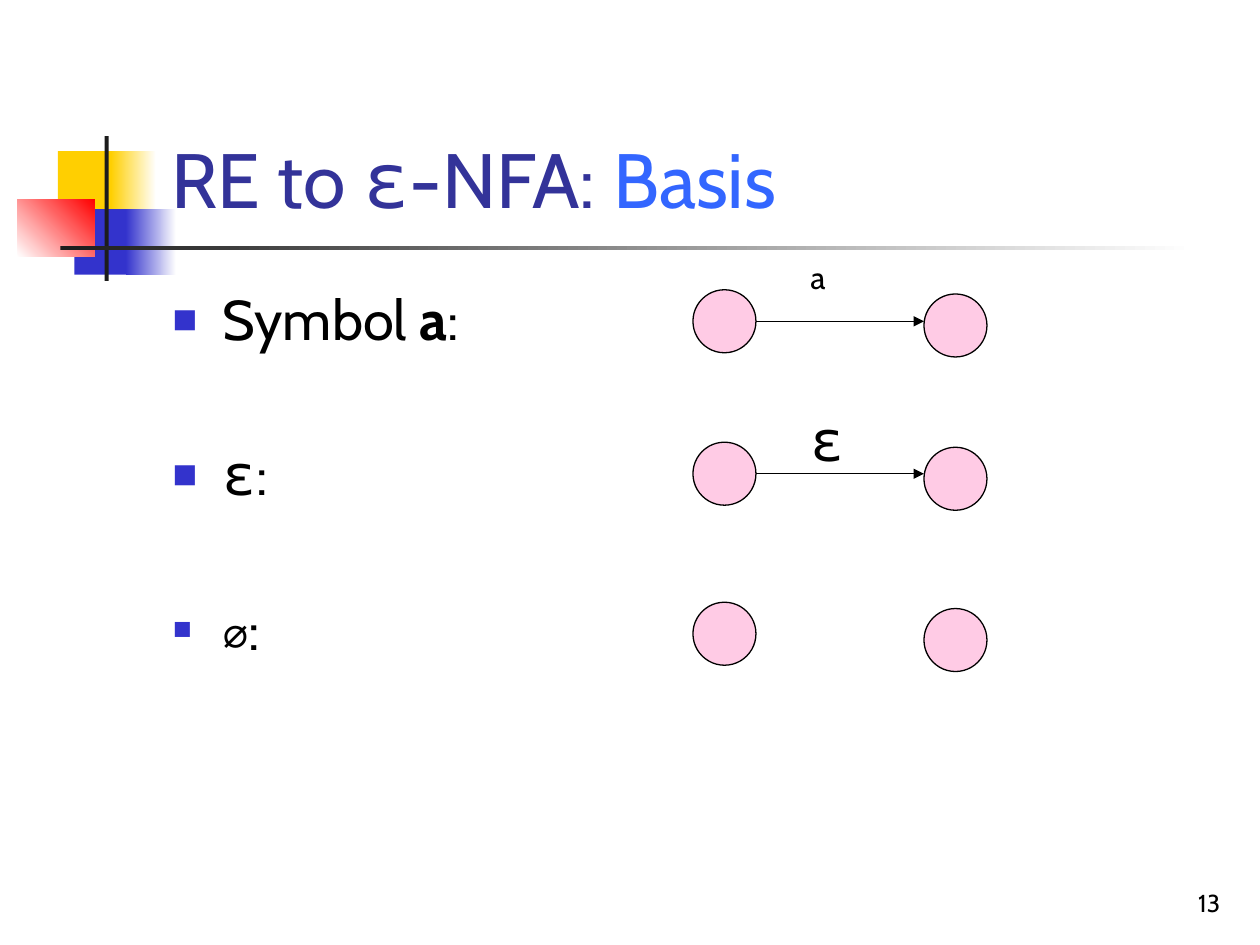
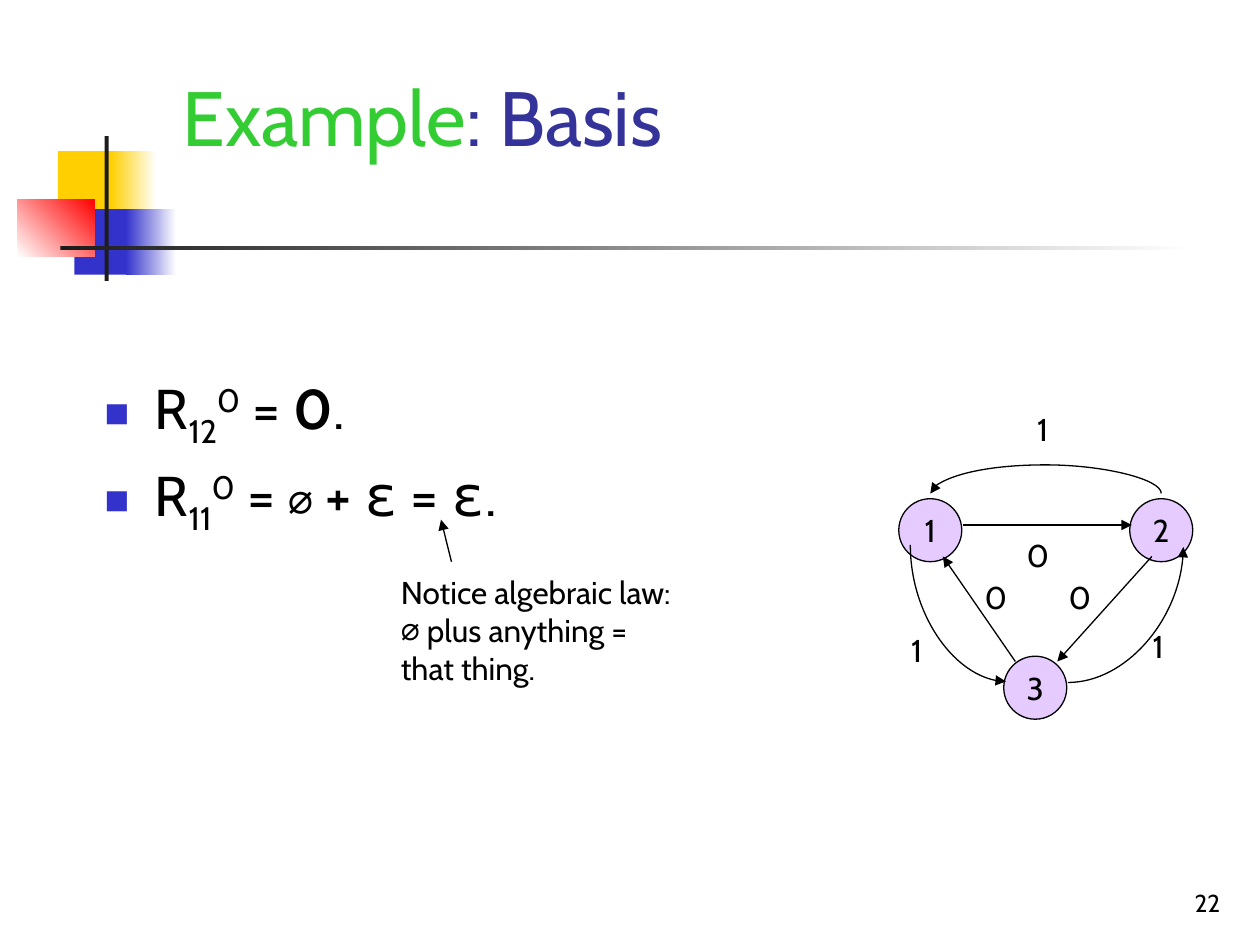
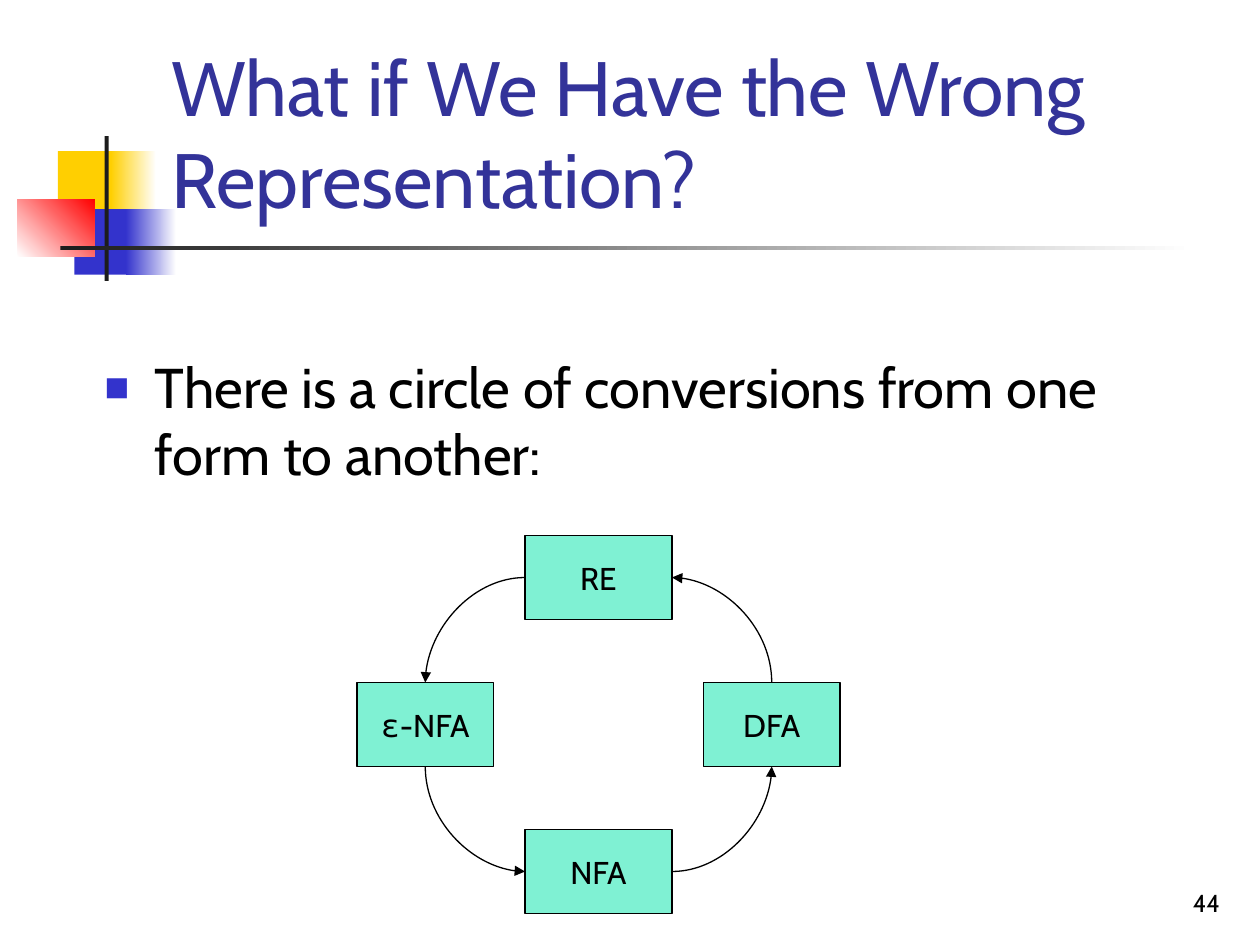
from collections import namedtuple
from itertools import groupby

from lxml import etree
from pptx import Presentation
from pptx.dml.color import RGBColor
from pptx.enum.shapes import MSO_CONNECTOR as Link, MSO_SHAPE as Preset
from pptx.enum.text import MSO_ANCHOR as Anchor, MSO_AUTO_SIZE as Fit, PP_ALIGN as Align
from pptx.oxml.ns import qn
from pptx.util import Emu, Inches, Pt

WIDTH, HEIGHT = Inches(10), Inches(7.5)
COLUMNS = 120
CELL = WIDTH // COLUMNS
COLORS = {
    "text": "000000", "title": "333399", "topic": "3366FF", "example": "33CC33",
    "yellow": "FFCF01", "blue": "3333CC", "red": "FF0000", "white": "FFFFFF",
    "rule": "1C1C1C", "pink": "FF99CC", "violet": "CC99FF", "mint": "00E4A8",
}
FONT, SYMBOL_FONT = "Cabin", "DejaVu Sans Mono"
SYMBOLS = "ε∅"
NODE = 6
LABEL = (4.5, 6)
SUB, SUP, BOLD = {"baseline": -25}, {"baseline": 30}, {"bold": True}
SMALL = {"size": Pt(24)}


class Box(namedtuple("Box", "x y w h")):
    def inner(self, x, y, w, h):
        return Box(self.x + x, self.y + y, w, h)

    def point(self, x, y):
        return self.x + x, self.y + y

    def side(self, name):
        across, down = {"top": (0.5, 0), "left": (0, 0.5),
                        "bottom": (0.5, 1), "right": (1, 0.5)}[name]
        return self.point(across * self.w, down * self.h)

    def emu(self):
        return [cells(value) for value in self]


DECOR = Box(1.68, 12.96, 110, 15)
TITLE = Box(15.12, 2.76, 102.24, 19.2)
NUMBER = Box(92.4, 82, 25, 6)


def cells(value):
    return Emu(round(value * CELL))


def rgb(name):
    return RGBColor.from_string(COLORS[name])


def add(parent, tag, **attributes):
    return etree.SubElement(parent, qn(tag), attributes)


def write(paragraph, runs, size, color="text"):
    for content, changes in runs:
        for is_symbol, letters in groupby(content, lambda letter: letter in SYMBOLS):
            style = {"name": SYMBOL_FONT if is_symbol else FONT, "size": Pt(size),
                     "color": color, "baseline": 0, **changes}
            run = paragraph.add_run()
            run.text = "".join(letters)
            run.font.color.rgb = rgb(style.pop("color"))
            baseline = style.pop("baseline")
            for name, value in style.items():
                setattr(run.font, name, value)
            if baseline:
                run.font._element.set("baseline", str(baseline * 1000))


def set_frame(frame, **settings):
    for name, value in settings.items():
        setattr(frame, name, value)


def text(slide, box, lines, size, color="text", align=Align.LEFT, **settings):
    frame = slide.shapes.add_textbox(*box.emu()).text_frame
    set_frame(frame, **{"word_wrap": True, "auto_size": Fit.NONE, **settings})
    for index, runs in enumerate(lines):
        paragraph = frame.add_paragraph() if index else frame.paragraphs[0]
        paragraph.alignment = align
        write(paragraph, runs, size, color)
    return frame


def label(slide, box, *lines, size=18):
    text(slide, box, lines, size, word_wrap=False, auto_size=Fit.SHAPE_TO_FIT_TEXT)


def body(slide, box, items, gap=6):
    frame = text(slide, box, items, 32)
    for index, paragraph in enumerate(frame.paragraphs):
        props = paragraph._p.get_or_add_pPr()
        props.set("marL", str(Inches(0.38)))
        props.set("indent", str(-Inches(0.38)))
        paragraph.space_before = Pt(gap if index else 0)
        add(add(props, "a:buClr"), "a:srgbClr", val=COLORS["blue"])
        add(props, "a:buSzPct", val="60000")
        add(props, "a:buFont", typeface=SYMBOL_FONT)
        add(props, "a:buChar", char="■")


def block(slide, box, first, last=None, angle=0):
    shape = slide.shapes.add_shape(Preset.RECTANGLE, *box.emu())
    shape.shadow.inherit = False
    shape.line.fill.background()
    if last is None:
        shape.fill.solid()
        shape.fill.fore_color.rgb = rgb(first)
        return
    shape.fill.gradient()
    shape.fill.gradient_angle = angle
    for stop, color in zip(shape.fill.gradient_stops, (first, last)):
        stop.color.rgb = rgb(color)


def decoration(slide, box):
    for place, *fill in (
        ((3.84, 1.44, 5.76, 6.24), "yellow"),
        ((8.88, 1.44, 4.32, 6.24), "yellow", "white"),
        ((5.4, 6.96, 5.52, 6.24), "blue"),
        ((10.32, 6.96, 4.8, 6.24), "blue", "white"),
        ((0, 6, 7.32, 5.52), "white", "red", 45),
        ((8.28, 0, 0.4, 13.8), "rule"),
        ((4.08, 10.44, 108, 0.4), "rule", "white"),
    ):
        block(slide, box.inner(*place), *fill)


def node(slide, box, fill, content="", preset=Preset.OVAL):
    shape = slide.shapes.add_shape(preset, *box.emu())
    shape.shadow.inherit = False
    shape.fill.solid()
    shape.fill.fore_color.rgb = rgb(fill)
    add(shape._element.spPr.find(".//" + qn("a:srgbClr")), "a:alpha", val="50000")
    shape.line.color.rgb = rgb("text")
    shape.line.width = Pt(0.75)
    if content:
        set_frame(shape.text_frame, word_wrap=False, vertical_anchor=Anchor.MIDDLE)
        paragraph = shape.text_frame.paragraphs[0]
        paragraph.alignment = Align.CENTER
        write(paragraph, [(content, {})], 18)


def arrow(slide, start, end, kind=Link.STRAIGHT):
    link = slide.shapes.add_connector(kind, *map(cells, (*start, *end)))
    link.line.color.rgb = rgb("text")
    link.line.width = Pt(0.75)
    add(link.line._get_or_add_ln(), "a:tailEnd", type="triangle")
    add(link._element.spPr, "a:effectLst")
    return link


def turn(link, center, width, height, preset, **frame):
    link.left, link.top = cells(center[0]) - width // 2, cells(center[1]) - height // 2
    link.width, link.height = width, height
    props = link._element.spPr
    for name in ("rot", "flipH", "flipV"):
        props.xfrm.attrib.pop(name, None)
    for name, value in frame.items():
        props.xfrm.set(name, str(int(value)))
    geometry = props.find(qn("a:prstGeom"))
    geometry.set("prst", preset)
    return geometry


def bend(slide, start, end, upright):
    link = arrow(slide, start, end, Link.CURVE)
    dx, dy = end[0] - start[0], end[1] - start[1]
    center = start[0] + dx / 2, start[1] + dy / 2
    size = cells(abs(dx)), cells(abs(dy))
    if upright:
        frame = {"rot": (90 if dy < 0 else 270) * 60000, "flipH": True,
                 "flipV": (dx > 0) != (dy > 0)}
        size = size[::-1]
    else:
        frame = {"flipH": dx < 0, "flipV": dy < 0}
    turn(link, center, *size, "curvedConnector2", **frame)


def arch(slide, start, end, rise):
    link = arrow(slide, start, end, Link.CURVE)
    thin = 1588
    center = (start[0] + end[0]) / 2, start[1]
    geometry = turn(link, center, thin, cells(start[0] - end[0]), "curvedConnector3",
                    rot=270 * 60000, flipH=True, flipV=True)
    guides = geometry.find(qn("a:avLst"))
    if guides is None:
        guides = add(geometry, "a:avLst")
    add(guides, "a:gd", name="adj1", fmla=f"val {-round(cells(rise) / thin * 100000)}")


def state_pair(slide, box, drop, symbol="", size=18, lift=0):
    first = box.inner(0, 0, NODE, NODE)
    second = box.inner(box.w - NODE, drop, NODE, NODE)
    node(slide, first, "pink")
    node(slide, second, "pink")
    if symbol:
        start = first.side("right")
        arrow(slide, start, (second.x, start[1]))
        label(slide, box.inner(10, -lift, *LABEL), [(symbol, {})], size=size)


def state_graph(slide, box):
    for name, x, y in (("1", 0, 9), ("3", 10, 24), ("2", 22, 9)):
        node(slide, box.inner(x, y, NODE, NODE), "violet", name)
    for start, end in (((6.1, 11.5), (22.2, 11.5)), ((24.1, 14.5), (15.1, 24.5)),
                       ((11.1, 24.5), (4.2, 14.5))):
        arrow(slide, box.point(*start), box.point(*end))
    arch(slide, box.point(25, 8.5), box.point(3, 8.5), 3)
    bend(slide, box.point(1.1, 13.4), box.point(10.2, 26.4), True)
    bend(slide, box.point(16.1, 26.5), box.point(27.1, 13.6), False)
    for symbol, places in (("0", ((11, 12), (15, 16), (7, 16))),
                           ("1", ((12, 0), (0, 21), (23, 20.6)))):
        for x, y in places:
            label(slide, box.inner(x, y, *LABEL), [(symbol, {})])


def law_note(slide, box):
    label(slide, box.inner(0, 4.5, box.w, box.h - 4.5), [("Notice algebraic law:", {})],
          [("∅ plus anything =", {})], [("that thing.", {})])
    arrow(slide, box.point(6, 4), box.point(5, 0))


def conversion_cycle(slide, box):
    wide, narrow, tall = 14, 13, 8
    middle = (box.h - tall) / 2
    forms = {
        "RE": box.inner(16, 0, wide, tall),
        "DFA": box.inner(box.w - narrow, middle, narrow, tall),
        "NFA": box.inner(16, box.h - tall, wide, tall),
        "ε-NFA": box.inner(0, middle, narrow, tall),
    }
    for name, place in forms.items():
        node(slide, place, "mint", name, Preset.RECTANGLE)
    for source, leave, target, enter in (
        ("DFA", "top", "RE", "right"), ("RE", "left", "ε-NFA", "top"),
        ("ε-NFA", "bottom", "NFA", "left"), ("NFA", "right", "DFA", "bottom"),
    ):
        bend(slide, forms[source].side(leave), forms[target].side(enter),
             leave in ("top", "bottom"))


def new_slide(deck, title, number, title_box=TITLE):
    slide = deck.slides.add_slide(deck.slide_layouts[6])
    decoration(slide, DECOR)
    text(slide, title_box, [title], 44, "title", vertical_anchor=Anchor.BOTTOM)
    text(slide, NUMBER, [[(str(number), {})]], 14, align=Align.RIGHT,
         vertical_anchor=Anchor.BOTTOM)
    return slide


def basis_slide(deck):
    slide = new_slide(deck, [("RE to ε-NFA: ", {}), ("Basis", {"color": "topic"})], 13)
    body(slide, Box(15.48, 26.52, 102, 54), [
        [("Symbol ", {}), ("a", BOLD), (":", {})],
        [("ε:", {})],
        [("∅", SMALL), (":", {})],
    ], gap=50)
    for y, *details in ((27.6, 0.4, "a", 18, 3.6), (57.36, 0.6),
                        (42.12, 0.48, "ε", 32, 4.08)):
        state_pair(slide, Box(66, y, 28, NODE), *details)


def example_slide(deck):
    slide = new_slide(deck, [("Example", {"color": "example"}), (": Basis", {})], 22,
                      Box(16.2, 1, 60, 15))
    body(slide, Box(9, 35, 102, 45), [
        [("R", {}), ("12", SUB), ("0", SUP), (" = ", {}), ("0", BOLD), (".", {})],
        [("R", {}), ("11", SUB), ("0", SUP), (" = ", {}), ("∅", SMALL), (" + ε = ε.", {})],
    ])
    state_graph(slide, Box(85.6, 38.5, 28, 30))
    law_note(slide, Box(37, 49.5, 39.2, 20.1))


def conversion_slide(deck):
    slide = new_slide(deck, [("What if We Have the Wrong Representation?", {})], 44)
    body(slide, Box(9, 33, 102, 47), [
        [("There is a circle of conversions from one form to another:", {})],
    ])
    conversion_cycle(slide, Box(34, 51, 46, 36))


def main():
    deck = Presentation()
    deck.slide_width, deck.slide_height = WIDTH, HEIGHT
    for build in (basis_slide, example_slide, conversion_slide):
        build(deck)
    deck.save("out.pptx")


if __name__ == "__main__":
    main()
